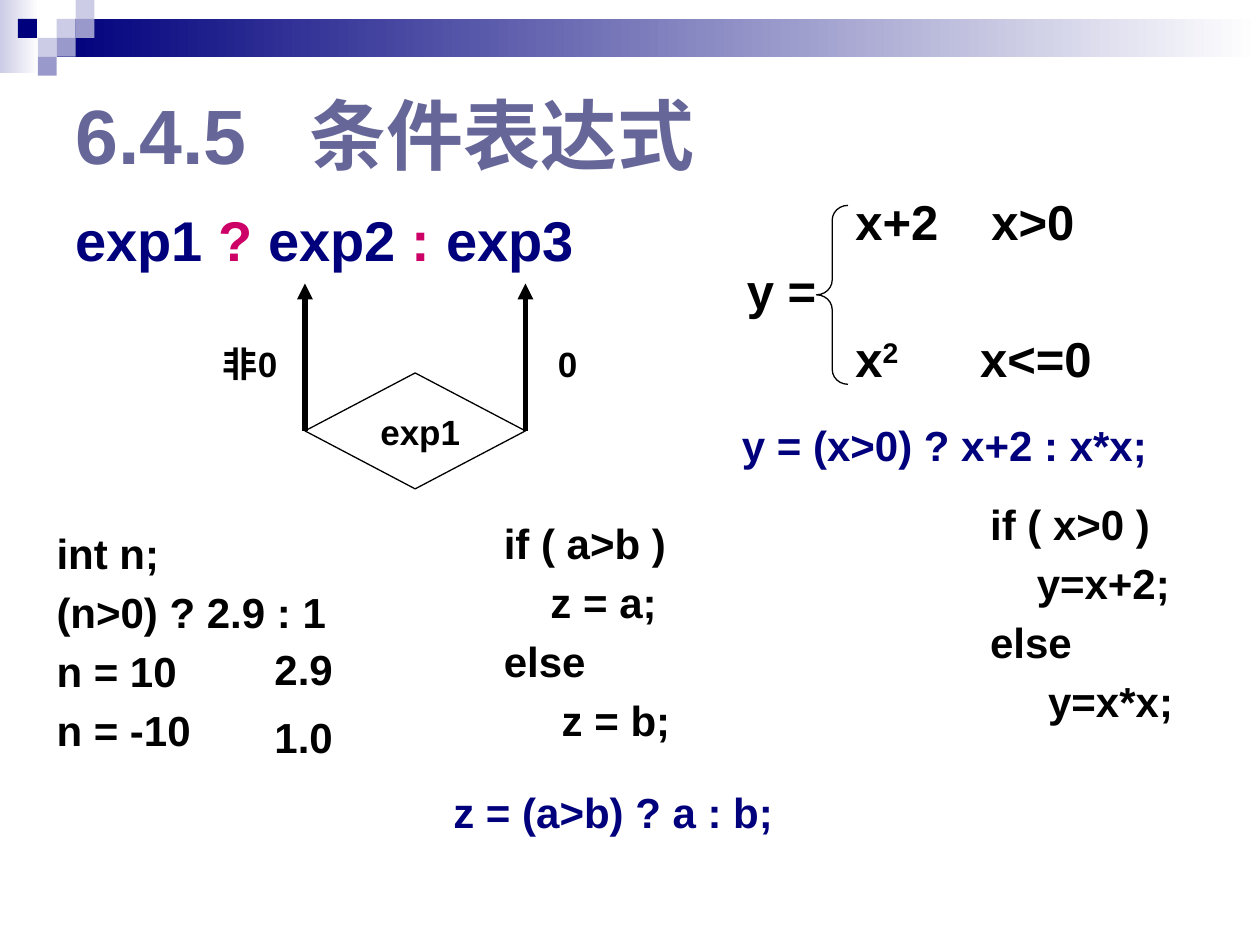
from lxml.etree import SubElement
from pptx import Presentation
from pptx.dml.color import RGBColor
from pptx.enum.shapes import MSO_CONNECTOR, MSO_SHAPE
from pptx.enum.text import MSO_ANCHOR, PP_ALIGN
from pptx.oxml.ns import qn
from pptx.util import Inches, Pt

COLORS = {
    "navy": "00007D",
    "lavender": "CCCCE6",
    "periwinkle": "9999CC",
    "slate": "666699",
    "magenta": "CC0066",
    "black": "000000",
    "white": "FFFFFF",
}

prs = Presentation()
prs.slide_width, prs.slide_height = Inches(10), Inches(7.5)
slide = prs.slides.add_slide(prs.slide_layouts[6])


def add_text(box, lines, size=24, color="black", before=20, spacing=None,
             align=PP_ALIGN.JUSTIFY, anchor=MSO_ANCHOR.TOP):
    frame = slide.shapes.add_textbox(*map(Inches, box)).text_frame
    frame.word_wrap = True
    frame.vertical_anchor = anchor
    for index, (indent, stops, runs) in enumerate(lines):
        paragraph = frame.paragraphs[0] if index == 0 else frame.add_paragraph()
        paragraph.alignment = align
        if spacing:
            paragraph.line_spacing = spacing
        properties = paragraph._p.get_or_add_pPr()
        properties.set("marL", str(Inches(indent)))
        if before:
            space_before = SubElement(properties, qn("a:spcBef"))
            SubElement(space_before, qn("a:spcPct"), val=str(before * 1000))
        if stops:
            tabs = SubElement(properties, qn("a:tabLst"))
            for stop in stops:
                SubElement(tabs, qn("a:tab"), pos=str(Inches(stop)), algn="l")
        for words, run_color, baseline in runs:
            run = paragraph.add_run()
            run.text = words
            font_format = {"name": "Arial", "size": Pt(size), "bold": True}
            for attribute, value in font_format.items():
                setattr(run.font, attribute, value)
            run.font.color.rgb = RGBColor.from_string(COLORS[run_color or color])
            if baseline:
                run.font._element.set("baseline", str(baseline * 1000))


def add_outline(kind, box, fill=None, line=None):
    shape = slide.shapes.add_shape(kind, *map(Inches, box))
    shape.shadow.inherit = False
    if fill:
        shape.fill.solid()
        shape.fill.fore_color.rgb = RGBColor.from_string(COLORS[fill])
    else:
        shape.fill.background()
    if line:
        shape.line.color.rgb = RGBColor.from_string(COLORS[line])
        shape.line.width = Pt(0.75)
    else:
        shape.line.fill.background()
    return shape


for box, start in [((0, 0, 0.31, 0.58), "lavender"), ((0.45, 0.15, 9.55, 0.3), "navy")]:
    band = add_outline(MSO_SHAPE.RECTANGLE, box)
    band.fill.gradient()
    band.fill.gradient_angle = 0
    for stop, name, position in zip(band.fill.gradient_stops, (start, "white"), (0, 1)):
        stop.color.rgb = RGBColor.from_string(COLORS[name])
        stop.position = position

TILE = 0.15
for column, row, fill in [
    (3, 1, "lavender"), (4, 0, "lavender"), (4, 1, "periwinkle"), (2, 2, "lavender"),
    (0.95, 1, "navy"), (3, 2, "periwinkle"), (2, 3, "periwinkle"),
]:
    add_outline(MSO_SHAPE.RECTANGLE, (column * TILE, row * TILE, TILE, TILE), fill)

add_text((0.5, 0.5, 7.57, 1.12), [(0, [1.86], [("6.4.5\t条件表达式", None, 0)])],
         size=44, color="slate", before=0, align=PP_ALIGN.LEFT, anchor=MSO_ANCHOR.MIDDLE)
add_text((0.5, 1.58, 4.27, 0.83), [(0, None, [
    ("exp1 ", None, 0), ("? ", "magenta", 0), ("exp2 ", None, 0),
    (": ", "magenta", 0), ("exp3", None, 0)])], size=32, color="navy")

add_outline(MSO_SHAPE.DIAMOND, (2.42, 2.96, 1.75, 0.92), line="black")
for x in (2.42, 4.17):
    arrow = slide.shapes.add_connector(
        MSO_CONNECTOR.STRAIGHT, Inches(x), Inches(2.25), Inches(x), Inches(3.42))
    arrow.line.color.rgb = RGBColor.from_string(COLORS["black"])
    arrow.line.width = Pt(3)
    SubElement(arrow.line._get_or_add_ln(), qn("a:headEnd"), type="triangle")
    SubElement(arrow._element.spPr, qn("a:effectLst"))

for box, label in [
    ((1.67, 2.67, 0.67, 0.43), "非0"),
    ((4.33, 2.67, 0.33, 0.43), "0"),
    ((2.92, 3.21, 0.9, 0.43), "exp1"),
]:
    add_text(box, [(0, None, [(label, None, 0)])], size=20, before=50)

for box, expression in [
    ((5.79, 3.28, 3.78, 0.5), "y = (x>0) ? x+2 : x*x;"),
    ((3.5, 6.19, 2.84, 0.5), "z = (a>b) ? a : b;"),
]:
    add_text(box, [(0, None, [(expression, None, 0)])], color="navy")

for box, code in [
    ((0.35, 4.14, 2.75, 1.94),
     [(0, "int n;"), (0, "(n>0) ? 2.9 : 1"), (0, "n = 10"), (0, "n = -10")]),
    ((7.76, 3.91, 1.81, 1.92),
     [(0, "if ( x>0 )"), (0.37, "y=x+2;"), (0, "else"), (0.46, "y=x*x;")]),
    ((3.9, 4.06, 1.81, 1.92),
     [(0, "if ( a>b )"), (0.37, "z = a;"), (0, "else"), (0.46, "z = b;")]),
]:
    add_text(box, [(indent, None, [(words, None, 0)]) for indent, words in code])

add_text((1.77, 5.09, 1.08, 1.05),
         [(0.31, None, [(value, None, 0)]) for value in ("2.9", "1.0")],
         before=50, spacing=0.94, align=PP_ALIGN.LEFT)

add_text((5.83, 1.47, 3.58, 1.67), [
    (0, [0.86, 1.94], [("\tx+2\tx>0", None, 0)]),
    (0, None, [("y =", None, 0)]),
    (0, [0.86, 1.85], [("\tx", None, 0), ("2", None, 30), ("\tx<=0", None, 0)]),
], size=28, align=PP_ALIGN.LEFT)
brace = add_outline(MSO_SHAPE.LEFT_BRACE, (6.48, 1.63, 0.25, 1.42), line="black")
brace.adjustments[0] = 0.47

prs.save("out.pptx")
